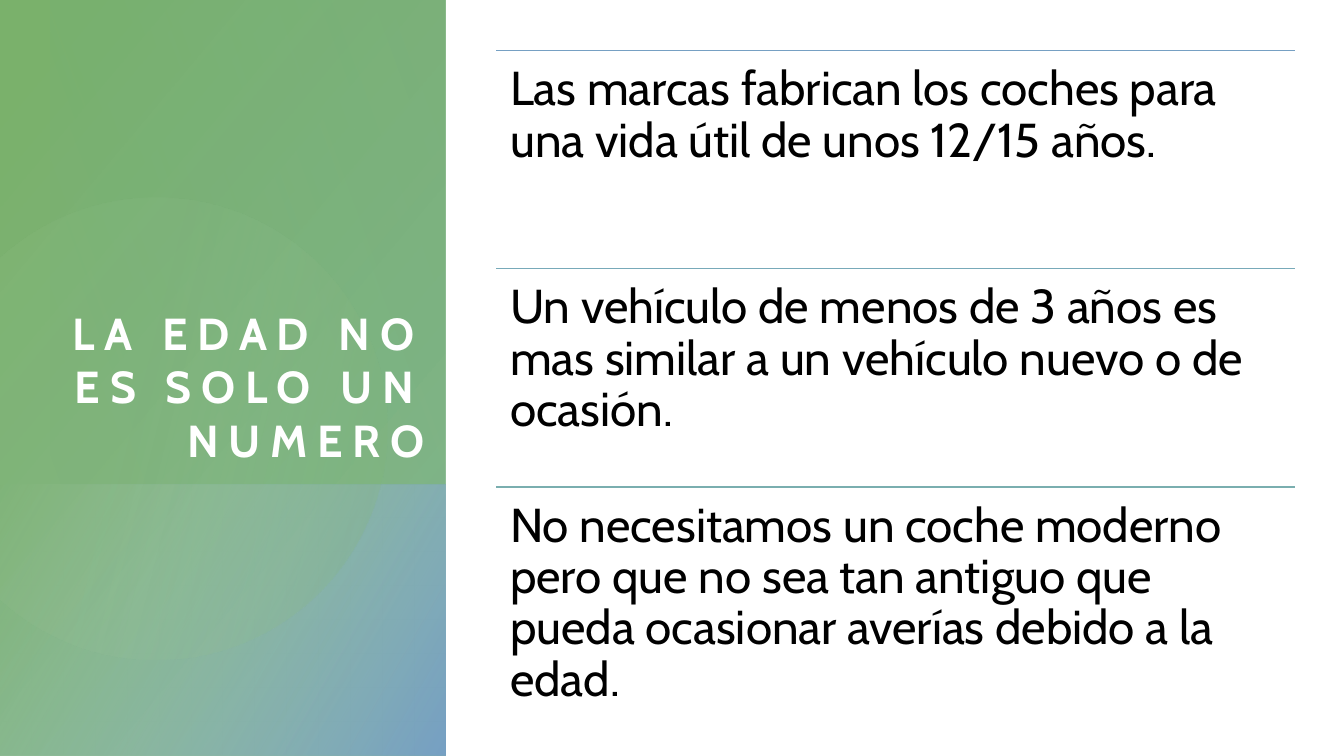
import math

import pptx
import pptx.dml.color
import pptx.enum.shapes
import pptx.enum.text
import pptx.oxml.ns
import pptx.util
from lxml import etree
from pptx.util import Inches

RGBColor = pptx.dml.color.RGBColor
WHITE = RGBColor(0xFF, 0xFF, 0xFF)
BLACK = RGBColor(0, 0, 0)
GREEN = RGBColor(0x7A, 0xB1, 0x6B)
SEA_GREEN = RGBColor(0x77, 0xAF, 0x82)
MINT = RGBColor(0x6B, 0xB1, 0x96)
PALE_MINT = RGBColor(0xAD, 0xCF, 0xB4)
PALE_GREEN = RGBColor(0xAF, 0xD0, 0xA6)
BLUE = RGBColor(0x76, 0xA0, 0xC3)
TEAL_BLUE = RGBColor(0x78, 0xAA, 0xB9)
TEAL = RGBColor(0x7A, 0xAE, 0xAF)

TITLE = "LA EDAD NO ES SOLO UN NUMERO"
POINTS = [
    ("Las marcas fabrican los coches para una vida útil de unos 12/15 años.", BLUE),
    ("Un vehículo de menos de 3 años es mas similar a un vehículo nuevo o de ocasión.", TEAL_BLUE),
    ("No necesitamos un coche moderno pero que no sea tan antiguo que pueda "
     "ocasionar averías debido a la edad.", TEAL),
]

PANEL_WIDTH, PANEL_SPLIT = 4.42, 4.81
# Gradients: clockwise angle, then (position %, colour, opacity %) for each stop
PANEL_BASE = (40, [(8, GREEN, 100), (100, SEA_GREEN, 89)])
PANEL_FOOT = (30, [(0, PALE_MINT, 0), (99, BLUE, 100)])
PANEL_HEAD = (160, [(0, SEA_GREEN, 29), (100, MINT, 0)])
DISC_GRADIENT = (14, [(36, PALE_GREEN, 6), (100, GREEN, 26)])
DISC_X, DISC_Y, DISC_RADIUS = 1.55, 4.25, 2.29

LIST_LEFT, LIST_TOP, LIST_WIDTH, ROW_HEIGHT = 4.92, 0.5, 7.92, 2.165

TITLE_FORMAT = {"name": "Cabin", "size": pptx.util.Pt(32), "bold": True}
POINT_FORMAT = {"name": "Cabin", "size": pptx.util.Pt(34), "bold": False}


def paint_gradient(shape, gradient):
    angle, stops = gradient
    shape.shadow.inherit = False
    shape.line.fill.background()
    shape.fill.gradient()
    shape.fill.gradient_angle = (360 - angle) % 360
    for stop, (position, color, opacity) in zip(shape.fill.gradient_stops, stops):
        stop.position = position / 100
        stop.color.rgb = color
    for element, (position, color, opacity) in zip(
            shape._element.spPr.iter(pptx.oxml.ns.qn("a:srgbClr")), stops):
        alpha = etree.SubElement(element, pptx.oxml.ns.qn("a:alpha"))
        alpha.set("val", str(opacity * 1000))


def add_panel_part(slide, left, top, width, height, gradient):
    shape = slide.shapes.add_shape(
        pptx.enum.shapes.MSO_SHAPE.RECTANGLE,
        Inches(left), Inches(top), Inches(width), Inches(height))
    paint_gradient(shape, gradient)


def add_disc(slide):
    """Add the circle, cut straight along the slide's left edge."""
    half_sweep = math.pi - math.acos(DISC_X / DISC_RADIUS)
    steps = 90
    angles = [half_sweep * (2 * i / steps - 1) for i in range(steps + 1)]
    outline = [(Inches(max(0, DISC_X + DISC_RADIUS * math.cos(angle))),
                Inches(DISC_Y + DISC_RADIUS * math.sin(angle))) for angle in angles]
    builder = slide.shapes.build_freeform(*outline[0])
    builder.add_line_segments(outline[1:], close=True)
    paint_gradient(builder.convert_to_shape(), DISC_GRADIENT)


def add_text(slide, text, box, margin, color, font_format):
    text_box = slide.shapes.add_textbox(*(Inches(length) for length in box))
    frame = text_box.text_frame
    frame.word_wrap = True
    for side in ("left", "top", "right", "bottom"):
        setattr(frame, "margin_" + side, Inches(margin))
    paragraph = frame.paragraphs[0]
    run = paragraph.add_run()
    run.text = text
    run.font.color.rgb = color
    for name, value in font_format.items():
        setattr(run.font, name, value)
    return frame, paragraph, run


def add_title(slide):
    frame, paragraph, run = add_text(
        slide, TITLE, (0.5, 0.95, 3.71, 3.68), 0, WHITE, TITLE_FORMAT)
    frame.vertical_anchor = pptx.enum.text.MSO_ANCHOR.BOTTOM
    paragraph.alignment = pptx.enum.text.PP_ALIGN.RIGHT
    run.font._element.set("spc", "700")


def add_rule(slide, top, color):
    rule = slide.shapes.add_connector(
        pptx.enum.shapes.MSO_CONNECTOR.STRAIGHT, Inches(LIST_LEFT), Inches(top),
        Inches(LIST_LEFT + LIST_WIDTH), Inches(top))
    rule.line.color.rgb = color
    rule.line.width = pptx.util.Pt(1)
    etree.SubElement(rule._element.spPr, pptx.oxml.ns.qn("a:effectLst"))


def main():
    presentation = pptx.Presentation()
    presentation.slide_width = Inches(13.33)
    presentation.slide_height = Inches(7.5)
    slide = presentation.slides.add_slide(presentation.slide_layouts[6])
    slide.background.fill.solid()
    slide.background.fill.fore_color.rgb = WHITE

    add_panel_part(slide, 0, 0, PANEL_WIDTH, 7.5, PANEL_BASE)
    add_panel_part(slide, 0, PANEL_SPLIT, PANEL_WIDTH, 7.5 - PANEL_SPLIT, PANEL_FOOT)
    add_disc(slide)
    add_panel_part(slide, 0.5, 0, PANEL_WIDTH - 0.5, PANEL_SPLIT, PANEL_HEAD)
    add_title(slide)

    for row, (text, rule_color) in enumerate(POINTS):
        top = LIST_TOP + row * ROW_HEIGHT
        add_rule(slide, top, rule_color)
        box = (LIST_LEFT, top, LIST_WIDTH, ROW_HEIGHT)
        _, paragraph, _ = add_text(slide, text, box, 0.14, BLACK, POINT_FORMAT)
        paragraph.line_spacing = 0.9

    presentation.save("out.pptx")


if __name__ == "__main__":
    main()
